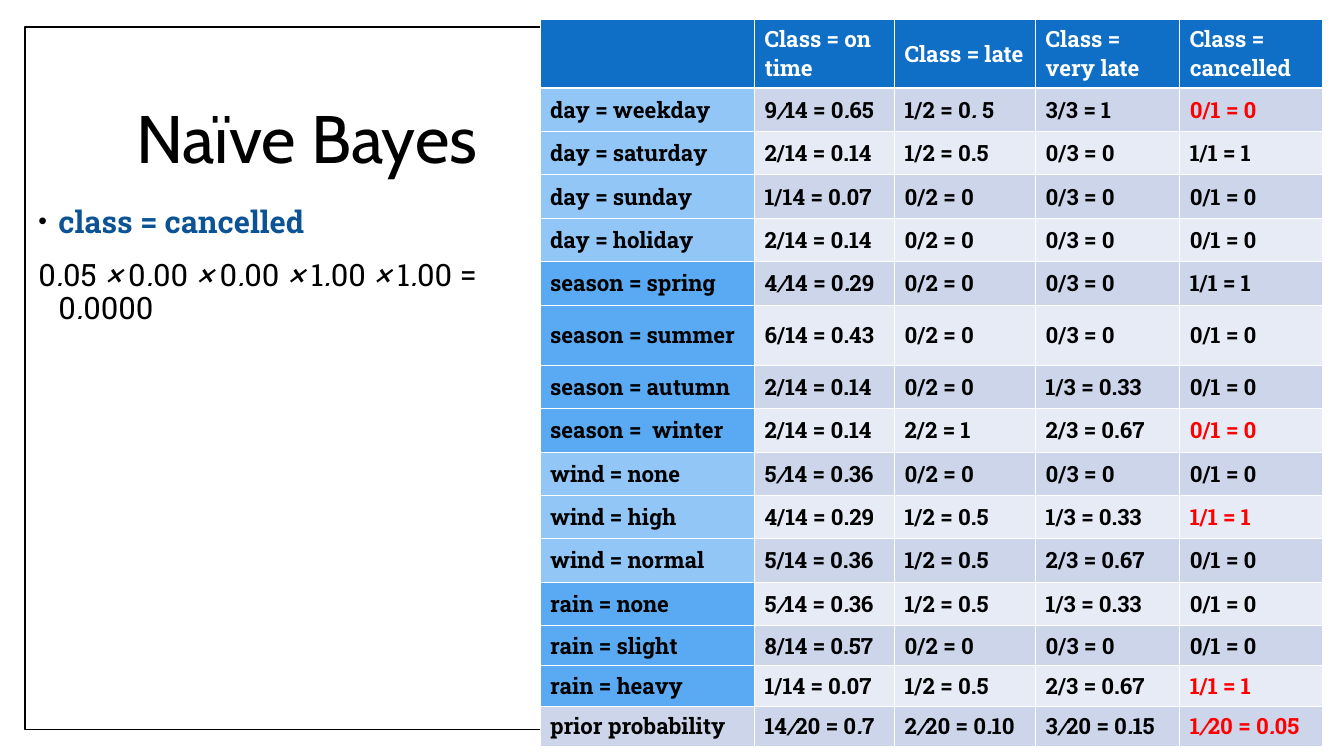
from lxml import etree
from pptx import Presentation
from pptx.dml.color import RGBColor
from pptx.enum import shapes, text
from pptx.oxml import ns
from pptx.util import Inches, Pt

SLAB = "Roboto Slab"
BLACK, WHITE, RED = "000000", "FFFFFF", "FF0000"


def rgb(value):
    return RGBColor.from_string(value)


def add_runs(p, marked, size, color, bold=False, font=SLAB):
    """Add marked text to p; the parts between underscores are italic."""
    for i, part in enumerate(marked.split("_")):
        if part:
            r = p.add_run()
            r.text = part
            r.font.name, r.font.size = font, Pt(size)
            r.font.bold, r.font.italic = bold, i % 2 == 1
            r.font.color.rgb = rgb(color)


prs = Presentation()
prs.slide_width, prs.slide_height = Inches(13.34), Inches(7.5)
s = prs.slides.add_slide(prs.slide_layouts[1])
title, body = s.shapes.title, s.placeholders[1]

# Frame behind everything
frame = s.shapes.add_shape(shapes.MSO_SHAPE.RECTANGLE, Inches(0.25), Inches(0.27),
                           Inches(12.82), Inches(6.97))
frame.shadow.inherit = False
frame.fill.solid()
frame.fill.fore_color.rgb = rgb(WHITE)
frame.line.color.rgb = rgb(BLACK)
frame.line.width = Pt(1)
title._element.addprevious(frame._element)

# Title
title.left, title.top = Inches(1.25), Inches(0.67)
title.width, title.height = Inches(10.8), Inches(1.48)
tf = title.text_frame
tf.auto_size = text.MSO_AUTO_SIZE.NONE
tf.vertical_anchor = text.MSO_ANCHOR.MIDDLE
p = tf.paragraphs[0]
p.alignment = text.PP_ALIGN.LEFT
p.line_spacing = 0.9
add_runs(p, "Naïve Bayes", 48, BLACK, font="Cabin")

# Worked example
body.left, body.top = Inches(0.23), Inches(2)
body.width, body.height = Inches(5.11), Inches(4.76)
tf = body.text_frame
tf.auto_size = text.MSO_AUTO_SIZE.NONE
tf.vertical_anchor = text.MSO_ANCHOR.TOP
heading, product = tf.paragraphs[0], tf.add_paragraph()
for p, before in ((heading, 0), (product, 14)):
    pPr = p._p.get_or_add_pPr()
    pPr.set("marL", str(Inches(0.25)))
    pPr.set("indent", str(Inches(-0.2)))
    p.alignment = text.PP_ALIGN.LEFT
    p.line_spacing = 0.9
    p.space_before = Pt(before)
pPr = heading._p.get_or_add_pPr()
clr = etree.SubElement(pPr, ns.qn("a:buClr"))
etree.SubElement(clr, ns.qn("a:srgbClr"), val=BLACK)
etree.SubElement(pPr, ns.qn("a:buSzPct"), val="80000")
etree.SubElement(pPr, ns.qn("a:buChar"), char="•")
etree.SubElement(product._p.get_or_add_pPr(), ns.qn("a:buNone"))
add_runs(heading, "class = cancelled", 22, "0B5395", bold=True)
add_runs(product, "0_._05 _× _0_._00 _× _0_._00 _× _1_._00 _× _1_._00 = 0_._0000", 22, BLACK)

# Probability table
rows = [
    ("", "Class = on time", "Class = late", "Class = very late", "Class = cancelled"),
    ("day = weekday", "9_/_14 = 0_._65", "1/2 = 0_._ 5", "3/3 = 1", "0/1 = 0"),
    ("day = saturday", "2/14 = 0.14", "1/2 = 0.5", "0/3 = 0", "1/1 = 1"),
    ("day = sunday", "1/14 = 0.07", "0/2 = 0", "0/3 = 0", "0/1 = 0"),
    ("day = holiday", "2/14 = 0.14", "0/2 = 0", "0/3 = 0", "0/1 = 0"),
    ("season = spring", "4_/_14 = 0_._29", "0/2 = 0", "0/3 = 0", "1/1 = 1"),
    ("season = summer", "6/14 = 0.43", "0/2 = 0", "0/3 = 0", "0/1 = 0"),
    ("season = autumn", "2/14 = 0.14", "0/2 = 0", "1/3 = 0.33", "0/1 = 0"),
    ("season =  winter", "2/14 = 0.14", "2/2 = 1", "2/3 = 0.67", "0/1 = 0"),
    ("wind = none", "5_/_14 = 0_._36", "0/2 = 0", "0/3 = 0", "0/1 = 0"),
    ("wind = high", "4/14 = 0.29", "1/2 = 0.5", "1/3 = 0.33", "1/1 = 1"),
    ("wind = normal", "5/14 = 0.36", "1/2 = 0.5", "2/3 = 0.67", "0/1 = 0"),
    ("rain = none", "5_/_14 = 0_._36", "1/2 = 0.5", "1/3 = 0.33", "0/1 = 0"),
    ("rain = slight", "8/14 = 0.57", "0/2 = 0", "0/3 = 0", "0/1 = 0"),
    ("rain = heavy", "1/14 = 0.07", "1/2 = 0.5", "2/3 = 0.67", "1/1 = 1"),
    ("prior probability", "14_/_20 = 0_._7", "2_/_20 = 0_._10", "3_/_20 = 0_._15",
     "1_/_20 = 0_._05"),
]
col_widths = [2.13, 1.39, 1.4, 1.43, 1.42]
row_heights = [0.61] + [0.43] * 5 + [0.6] + [0.43] * 6 + [0.4] * 3
label_fills = {"day": "91C6F7", "season": "59AAF2", "wind": "91C6F7", "rain": "59AAF2"}
used_in_example = ("day = weekday", "season =  winter", "wind = high", "rain = heavy",
                   "prior probability")

table = s.shapes.add_table(len(rows), len(col_widths), Inches(5.36), Inches(0.19),
                           Inches(sum(col_widths)), Inches(sum(row_heights))).table
table.horz_banding = False
for col, width in zip(table.columns, col_widths):
    col.width = Inches(width)
for row, height in zip(table.rows, row_heights):
    row.height = Inches(height)

for i, values in enumerate(rows):
    band = "CCD5EA" if i % 2 else "E7EBF5"
    for j, value in enumerate(values):
        cell = table.cell(i, j)
        fill, color = band, BLACK
        if i == 0:
            fill, color = "0F6FC6", WHITE
        elif j == 0:
            fill = label_fills.get(value.split()[0], band)
        elif j == 4 and values[0] in used_in_example:
            color = RED
        prior_value = i == len(rows) - 1 and j > 0
        cell.vertical_anchor = text.MSO_ANCHOR.TOP if prior_value else text.MSO_ANCHOR.MIDDLE
        for side in "LRTB":
            under_header = (i, side) in ((0, "B"), (1, "T"))
            ln = etree.SubElement(cell._tc.get_or_add_tcPr(), ns.qn(f"a:ln{side}"),
                                  w=str(Pt(1.47 if under_header else 0.45)))
            solid = etree.SubElement(ln, ns.qn("a:solidFill"))
            etree.SubElement(solid, ns.qn("a:srgbClr"), val=WHITE)
        cell.fill.solid()
        cell.fill.fore_color.rgb = rgb(fill)
        add_runs(cell.text_frame.paragraphs[0], value, 16, color, bold=True)

prs.save("out.pptx")
